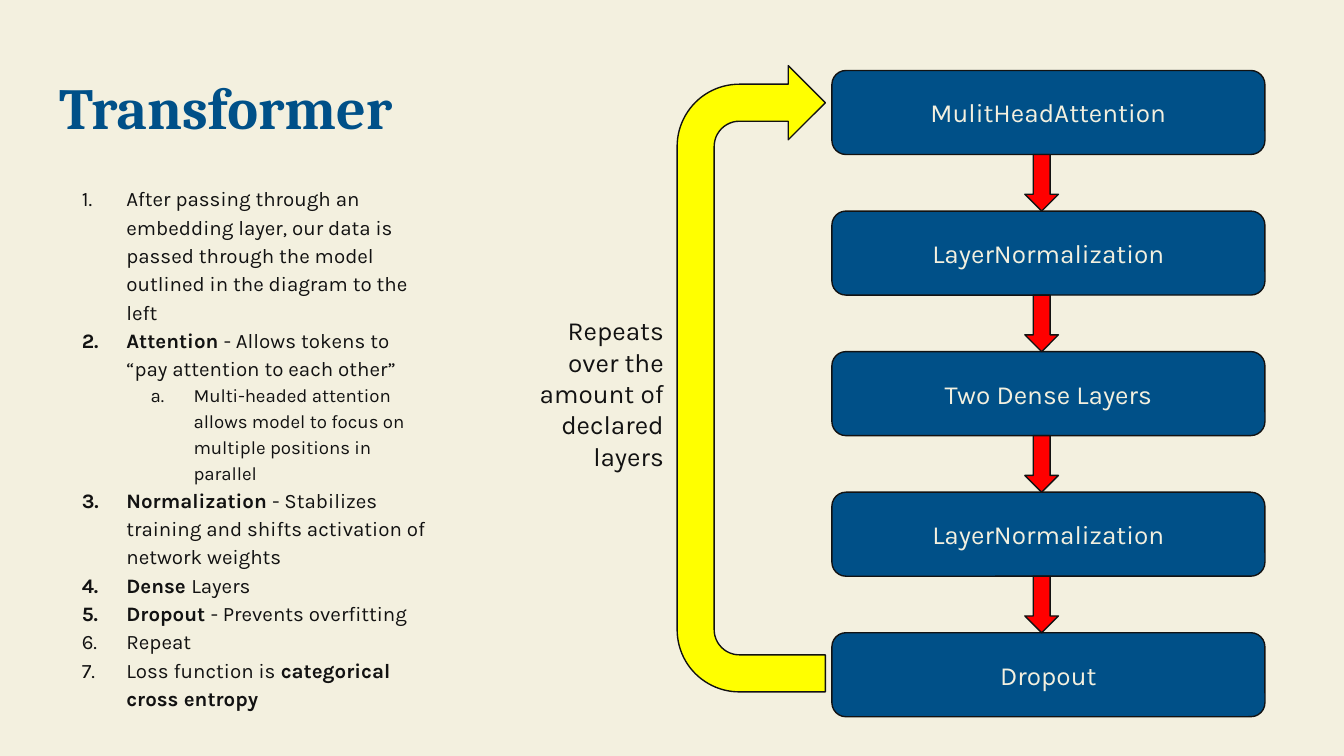
import dataclasses

import lxml.etree
import pptx
import pptx.dml.color
import pptx.enum.shapes
import pptx.enum.text
import pptx.oxml.ns
import pptx.util

Pt = pptx.util.Pt
SHAPES = pptx.enum.shapes.MSO_SHAPE
ANCHOR = pptx.enum.text.MSO_ANCHOR
ALIGN = pptx.enum.text.PP_ALIGN
AUTO_SIZE = pptx.enum.text.MSO_AUTO_SIZE


@dataclasses.dataclass(frozen=True)
class Theme:
    background: str = "F3F0DF"
    blue: str = "005088"
    ink: str = "121212"
    red: str = "FF0000"
    yellow: str = "FFFF00"
    title_font: str = "Cambria"
    text_font: str = "Karla"
    title_size: float = 31.1
    label_size: float = 14
    list_sizes: tuple = (11, 10)
    line_width: float = 0.75
    inset: float = 7.2


def rgb(value):
    return pptx.dml.color.RGBColor.from_string(value)


class SlideBuilder:
    # Numbering scheme, left margin and hanging indent for each list level
    LEVELS = (("arabicPeriod", 36, -23.9), ("alphaLcPeriod", 72, -23))

    def __init__(self, presentation, theme):
        self.theme = theme
        self.slide = presentation.slides.add_slide(presentation.slide_layouts[1])
        fill = self.slide.background.fill
        fill.solid()
        fill.fore_color.rgb = rgb(theme.background)

    def place(self, shape, box):
        shape.left, shape.top, shape.width, shape.height = map(Pt, box)

    def frame(self, shape, anchor=ANCHOR.TOP):
        frame = shape.text_frame
        frame.word_wrap = True
        frame.auto_size = AUTO_SIZE.NONE
        frame.vertical_anchor = anchor
        frame.margin_left = frame.margin_right = Pt(self.theme.inset)
        frame.margin_top = frame.margin_bottom = Pt(self.theme.inset)
        return frame

    def run(self, paragraph, text, size, color, bold=False, font=None):
        run = paragraph.add_run()
        run.text = text
        run.font.name = font or self.theme.text_font
        run.font.size = Pt(size)
        run.font.bold = bold
        run.font.color.rgb = rgb(color)

    def title(self, text, box):
        shape = self.slide.shapes.title
        self.place(shape, box)
        paragraph = self.frame(shape).paragraphs[0]
        paragraph.alignment = ALIGN.LEFT
        paragraph.line_spacing = 0.9
        self.run(paragraph, text, self.theme.title_size, self.theme.blue,
                 True, self.theme.title_font)

    def number(self, paragraph, level):
        scheme, margin, indent = self.LEVELS[level]
        properties = paragraph._p.get_or_add_pPr()
        properties.set("marL", str(Pt(margin)))
        properties.set("indent", str(Pt(indent)))
        qn = pptx.oxml.ns.qn
        color = lxml.etree.SubElement(properties, qn("a:buClr"))
        lxml.etree.SubElement(color, qn("a:srgbClr"), val=self.theme.ink)
        lxml.etree.SubElement(properties, qn("a:buFont"), typeface=self.theme.text_font)
        lxml.etree.SubElement(properties, qn("a:buAutoNum"), type=scheme)

    def numbered_list(self, items, box):
        shape = self.slide.placeholders[1]
        self.place(shape, box)
        frame = self.frame(shape)
        for index, (level, runs) in enumerate(items):
            paragraph = frame.add_paragraph() if index else frame.paragraphs[0]
            paragraph.level = level
            paragraph.alignment = ALIGN.LEFT
            paragraph.line_spacing = 1.15
            paragraph.space_before = Pt(0)
            self.number(paragraph, level)
            for text, bold in runs:
                self.run(paragraph, text, self.theme.list_sizes[level],
                         self.theme.ink, bold)

    def shape(self, kind, box, fill, adjustments, rotation=0):
        shape = self.slide.shapes.add_shape(kind, *map(Pt, box))
        shape.shadow.inherit = False
        shape.rotation = rotation
        for index, value in enumerate(adjustments):
            shape.adjustments[index] = value
        shape.fill.solid()
        shape.fill.fore_color.rgb = rgb(fill)
        shape.line.color.rgb = rgb(self.theme.ink)
        shape.line.width = Pt(self.theme.line_width)
        return shape

    def block(self, text, box):
        shape = self.shape(SHAPES.ROUNDED_RECTANGLE, box, self.theme.blue, [0.167])
        paragraph = self.frame(shape, ANCHOR.MIDDLE).paragraphs[0]
        paragraph.alignment = ALIGN.CENTER
        self.run(paragraph, text, self.theme.label_size, self.theme.background)

    def label(self, text, box):
        shape = self.slide.shapes.add_textbox(*map(Pt, box))
        paragraph = self.frame(shape).paragraphs[0]
        paragraph.alignment = ALIGN.RIGHT
        self.run(paragraph, text, self.theme.label_size, self.theme.ink)


LIST_ITEMS = [
    (0, [("After passing through an embedding layer, our data is passed "
          "through the model outlined in the diagram to the left", False)]),
    (0, [("Attention ", True),
         ("- Allows tokens to “pay attention to each other”", False)]),
    (1, [("Multi-headed attention allows model to focus on multiple "
          "positions in parallel", False)]),
    (0, [("Normalization ", True),
         ("- Stabilizes training and shifts activation of network weights", False)]),
    (0, [("Dense ", True), ("Layers", False)]),
    (0, [("Dropout ", True), ("- Prevents overfitting", False)]),
    (0, [("Repeat", False)]),
    (0, [("Loss function is ", False), ("categorical cross entropy", True)]),
]
LAYERS = ["MulitHeadAttention", "LayerNormalization", "Two Dense Layers",
          "LayerNormalization", "Dropout"]


def main():
    presentation = pptx.Presentation()
    presentation.slide_width, presentation.slide_height = Pt(720), Pt(405)
    theme = Theme()
    builder = SlideBuilder(presentation, theme)

    # Title and explanation
    builder.title("Transformer", (24.5, 35.3, 229, 45.4))
    builder.numbered_list(LIST_ITEMS, (24.5, 90.7, 214.6, 269.3))

    # Stack of layers
    left, top, width, height, pitch = 445.7, 37.8, 232, 45, 75.3
    for index, name in enumerate(LAYERS):
        builder.block(name, (left, top + index * pitch, width, height))

    # Arrows centred in the gaps between layers
    length, thickness, center_x = 30.3, 18, 558
    for index in range(len(LAYERS) - 1):
        center_y = top + index * pitch + (height + pitch) / 2
        builder.shape(SHAPES.RIGHT_ARROW,
                      (center_x - length / 2, center_y - thickness / 2, length, thickness),
                      theme.red, [0.5, 0.5], 90)

    # Loop back to the first layer
    builder.shape(SHAPES.U_TURN_ARROW, (234.7, 163.2, 335.5, 79.4), theme.yellow,
                  [0.25, 0.25, 0.25, 0.42, 1], 270)
    builder.label("Repeats over the amount of declared layers", (267.8, 161.3, 95, 99.4))

    presentation.save("out.pptx")


if __name__ == "__main__":
    main()
